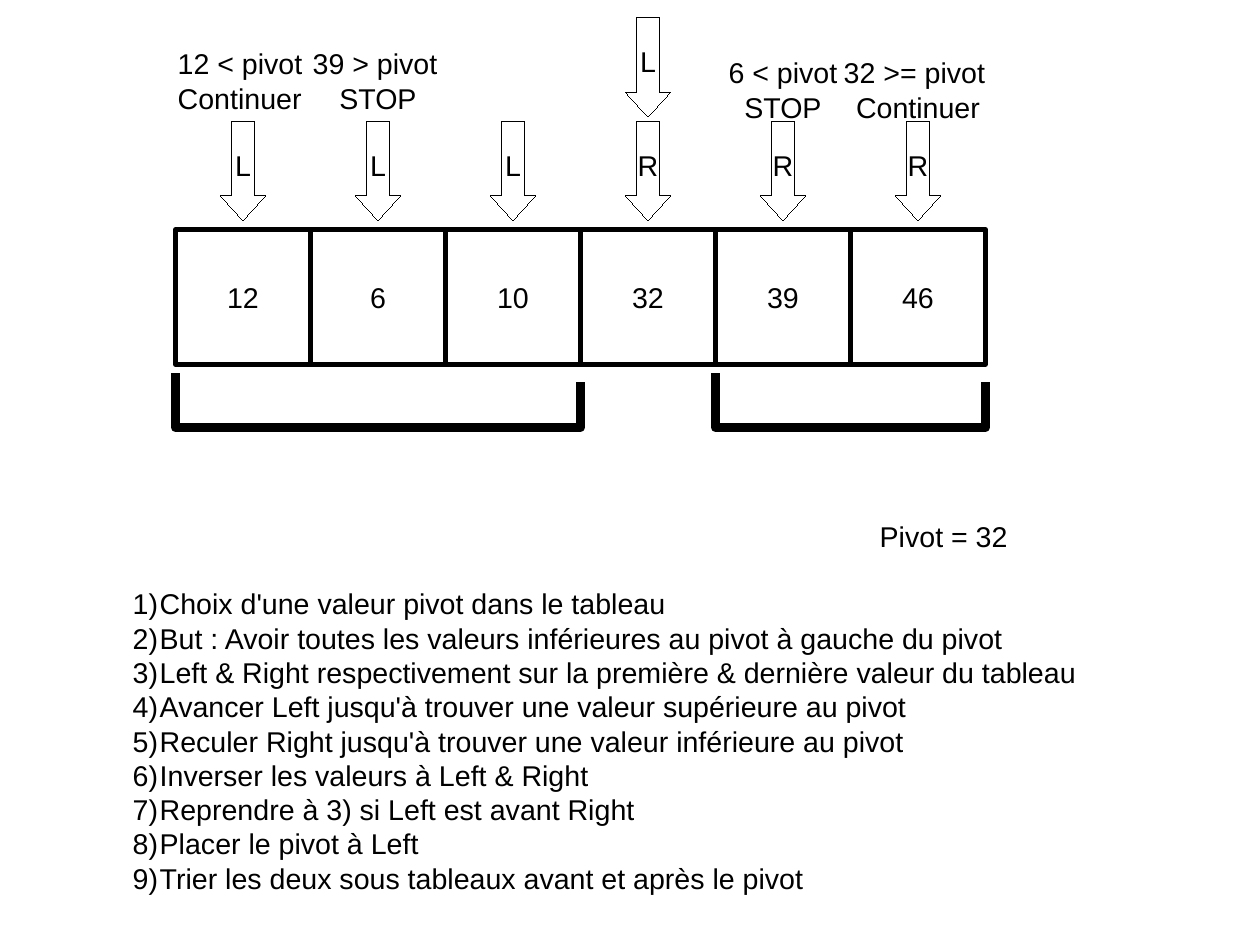
from typing import Any, NamedTuple, Optional

from pptx import Presentation
from pptx.dml.color import RGBColor
from pptx.enum.shapes import MSO_SHAPE as Shape
from pptx.enum.text import MSO_ANCHOR as Anchor, MSO_AUTO_SIZE as AutoSize, PP_ALIGN as Align
from pptx.oxml.ns import qn
from pptx.util import Cm, Pt

COLOURS = {"ink": "000000", "paper": "FFFFFF"}
FONT, FONT_SIZE = "Arial", 18

# Lengths are centimetres. The array is a row of square cells; columns are counted in cells.
SLIDE_WIDTH, SLIDE_HEIGHT = 28, 21
CELL = 3
ARRAY_LEFT, ARRAY_TOP = 3.9, 5.1
ARROW_WIDTH, ARROW_HEIGHT = 1, 2.2
ARROW_TOPS = (2.7, 0.4)
BRACKET_TOP, BRACKET_BOTTOM, BRACKET_END = 8.3, 9.5, 8.5
NOTE_HEIGHT = 2.4
STEP_INDENT = 0.6
TEXT_INSETS, CELL_INSETS, STEP_INSETS = (0.25, 0.13), (0.3, 0.18), (0.35, 0.23)


class Cursor(NamedTuple):
    label: str
    column: int
    level: int = 0


class Comparison(NamedTuple):
    column: int
    test: str
    outcome: str
    top: float
    width: float
    aligns: tuple = (Align.LEFT, Align.CENTER)


class Subarray(NamedTuple):
    first: int
    end: int


VALUES = [12, 6, 10, 32, 39, 46]
CURSORS = [
    Cursor("L", 0), Cursor("L", 1), Cursor("L", 2),
    Cursor("R", 3), Cursor("R", 4), Cursor("R", 5),
    Cursor("L", 3, level=1),
]
COMPARISONS = [
    Comparison(0, "12 < pivot", "Continuer", 0.9, 3.4, (Align.LEFT, Align.LEFT)),
    Comparison(1, "39 > pivot", "STOP", 0.9, 3.4),
    Comparison(4, "6 < pivot", "STOP", 1.1, 3.8, (Align.CENTER, Align.CENTER)),
    Comparison(5, "32 >= pivot", "Continuer", 1.1, 3.8),
]
SUBARRAYS = [Subarray(0, 3), Subarray(4, 6)]
STEPS = [
    "Choix d'une valeur pivot dans le tableau",
    "But : Avoir toutes les valeurs inférieures au pivot à gauche du pivot",
    "Left & Right respectivement sur la première & dernière valeur du tableau",
    "Avancer Left jusqu'à trouver une valeur supérieure au pivot",
    "Reculer Right jusqu'à trouver une valeur inférieure au pivot",
    "Inverser les valeurs à Left & Right",
    "Reprendre à 3) si Left est avant Right",
    "Placer le pivot à Left",
    "Trier les deux sous tableaux avant et après le pivot",
]


def colour(name: str) -> RGBColor:
    return RGBColor.from_string(COLOURS[name])


def column_x(column: float) -> float:
    return ARRAY_LEFT + column * CELL


def centred_left(column: int, width: float) -> float:
    return column_x(column + 0.5) - width / 2


def number_paragraph(paragraph: Any) -> None:
    properties = paragraph._p.get_or_add_pPr()
    properties.set("marL", str(Cm(STEP_INDENT)))
    properties.set("indent", str(-Cm(STEP_INDENT)))
    numbering = properties.makeelement(qn("a:buAutoNum"), {"type": "arabicParenR"})
    properties.append(numbering)


def write(holder: Any, lines: list[str], *, aligns: Optional[tuple] = None,
          insets: tuple = TEXT_INSETS, anchor: Any = Anchor.TOP,
          wrap: bool = True, numbered: bool = False) -> None:
    frame = holder.text_frame
    frame.word_wrap = wrap
    frame.vertical_anchor = anchor
    frame.margin_left = frame.margin_right = Cm(insets[0])
    frame.margin_top = frame.margin_bottom = Cm(insets[1])
    frame.text = "\n".join(lines)
    for paragraph, align in zip(frame.paragraphs, aligns or (Align.LEFT,) * len(lines)):
        paragraph.alignment = align
        if numbered:
            number_paragraph(paragraph)
        for run in paragraph.runs:
            run.font.name = FONT
            run.font.size = Pt(FONT_SIZE)
            run.font.color.rgb = colour("ink")


def add_text(shapes: Any, box: tuple, lines: list[str], **text_format: Any) -> None:
    textbox = shapes.add_textbox(*map(Cm, box))
    write(textbox, lines, **text_format)
    textbox.text_frame.auto_size = AutoSize.SHAPE_TO_FIT_TEXT


def draw_outline(shape: Any, width: float) -> None:
    """Set the line through XML, since the width property drops a zero (hairline)."""
    shape.shadow.inherit = False
    shape.line.color.rgb = colour("ink")
    shape._element.spPr.find(qn("a:ln")).set("w", str(Pt(width)))


def add_labelled(shapes: Any, kind: Any, box: tuple, label: str,
                 line_width: float, insets: tuple = TEXT_INSETS) -> Any:
    shape = shapes.add_shape(kind, *map(Cm, box))
    shape.fill.solid()
    shape.fill.fore_color.rgb = colour("paper")
    draw_outline(shape, line_width)
    write(shape, [label], aligns=(Align.CENTER,), insets=insets,
          anchor=Anchor.MIDDLE, wrap=False)
    return shape


def add_cursor(shapes: Any, cursor: Cursor) -> None:
    box = (centred_left(cursor.column, ARROW_WIDTH), ARROW_TOPS[cursor.level],
           ARROW_WIDTH, ARROW_HEIGHT)
    arrow = add_labelled(shapes, Shape.DOWN_ARROW, box, cursor.label, line_width=0)
    arrow.adjustments[0], arrow.adjustments[1] = 0.5, 0.55


def add_bracket(shapes: Any, subarray: Subarray) -> None:
    left, right = Cm(column_x(subarray.first)), Cm(column_x(subarray.end))
    bottom = Cm(BRACKET_BOTTOM)
    builder = shapes.build_freeform(left, Cm(BRACKET_TOP))
    builder.add_line_segments(
        [(left, bottom), (right, bottom), (right, Cm(BRACKET_END))], close=False)
    bracket = builder.convert_to_shape()
    bracket.fill.background()
    draw_outline(bracket, 5.67)


def main() -> None:
    presentation = Presentation()
    presentation.slide_width = Cm(SLIDE_WIDTH)
    presentation.slide_height = Cm(SLIDE_HEIGHT)
    shapes = presentation.slides.add_slide(presentation.slide_layouts[6]).shapes

    for cursor in CURSORS:
        add_cursor(shapes, cursor)
    for note in COMPARISONS:
        box = (centred_left(note.column, note.width), note.top, note.width, NOTE_HEIGHT)
        add_text(shapes, box, [note.test, note.outcome], aligns=note.aligns)

    array = shapes.add_group_shape().shapes
    for column, value in enumerate(VALUES):
        add_labelled(array, Shape.RECTANGLE, (column_x(column), ARRAY_TOP, CELL, CELL),
                     str(value), line_width=2.83, insets=CELL_INSETS)
    for subarray in SUBARRAYS:
        add_bracket(shapes, subarray)

    add_text(shapes, (19.3, 11.4, 6.4, 0.96), ["Pivot = 32"])
    add_text(shapes, (2.6, 12.8, 22.6, 6.86), STEPS, insets=STEP_INSETS, numbered=True)
    presentation.save("out.pptx")


if __name__ == "__main__":
    main()
